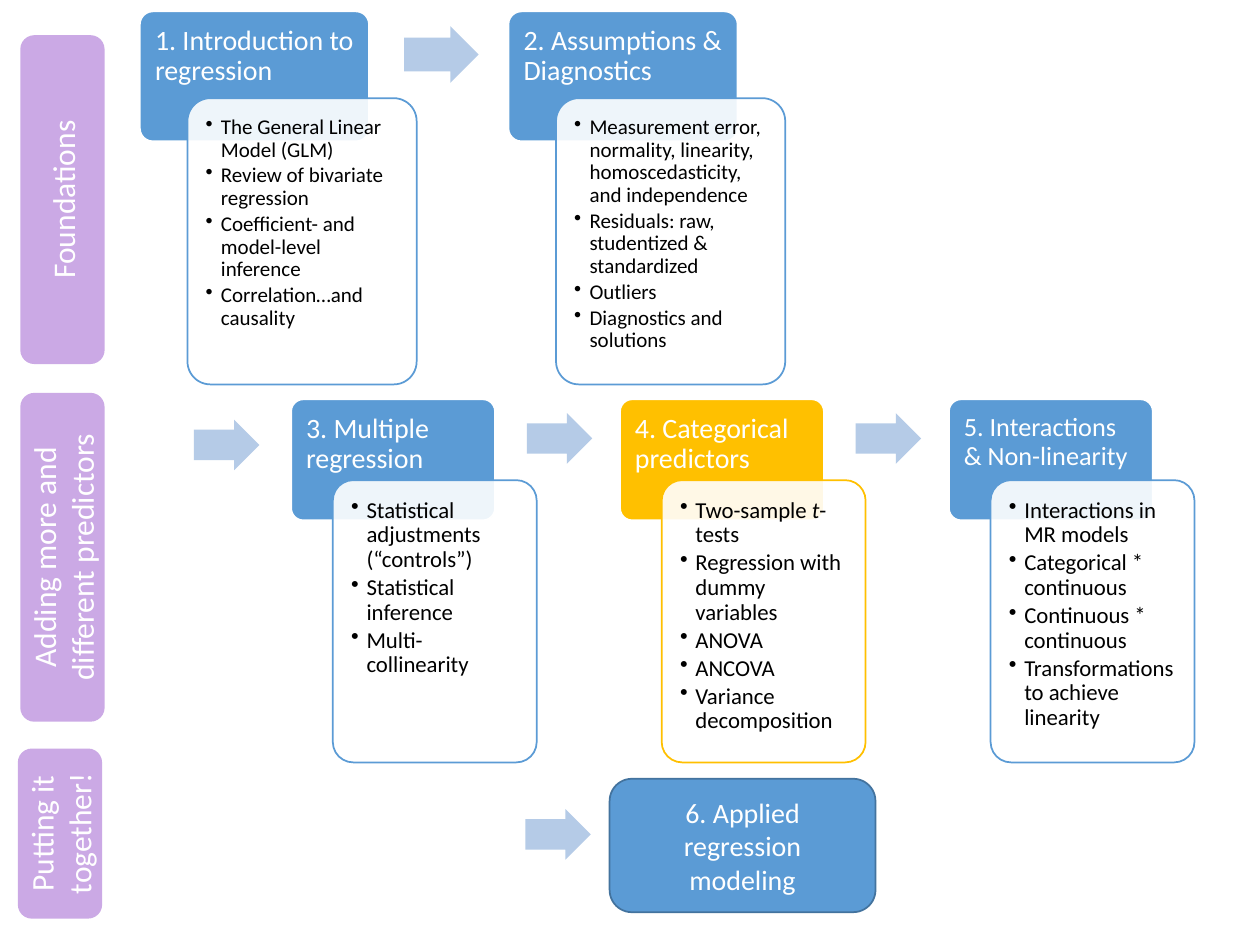
from dataclasses import dataclass

from lxml import etree
from pptx import Presentation
from pptx.dml.color import RGBColor
from pptx.enum import shapes, text
from pptx.oxml.ns import qn
from pptx.util import Cm, Pt


@dataclass(frozen=True)
class Theme:
    """Colours, font and type sizes of the slide."""
    blue: str = "5B9BD5"
    dark_blue: str = "43739E"
    gold: str = "FFC000"
    arrow: str = "B5CBE7"
    purple: str = "CBA9E5"
    white: str = "FFFFFF"
    black: str = "000000"
    font: str = "Calibri"
    stage_size: int = 18
    header_size: int = 16
    small_header_size: int = 15


@dataclass(frozen=True)
class Card:
    """A course unit; underscores in a topic enclose italics."""
    title: str
    topics: tuple[str, ...]
    color: str = Theme.blue
    title_size: int = Theme.header_size


@dataclass(frozen=True)
class Row:
    """A row of overlapping header and panel pairs, in cm."""
    left: float
    top: float
    pitch: float
    width: float
    header_h: float
    panel_dx: float
    panel_dy: float
    panel_h: float
    arrow_dx: float
    arrow_dy: float
    arrow_w: float
    arrow_h: float
    topic_size: int
    panel_inset: float
    cards: tuple[Card, ...]


@dataclass(frozen=True)
class Stage:
    """A vertical label at the left edge, in cm."""
    title: str
    left: float
    top: float
    height: float


T = Theme()
SHAPE = shapes.MSO_SHAPE

FOUNDATIONS = Row(
    2.82, 0.23, 7.43, 4.62, 2.62, 0.96, 1.75, 5.77, 5.33, 0.3, 1.5, 1.14, 12, 0.23,
    (
        Card("1. Introduction to regression", (
            "The General Linear Model (GLM)", "Review of bivariate regression",
            "Coefficient- and model-level inference", "Correlation…and causality")),
        Card("2. Assumptions & Diagnostics", (
            "Measurement error, normality, linearity, homoscedasticity, and independence",
            "Residuals: raw, studentized & standardized", "Outliers",
            "Diagnostics and solutions")),
    ))
PREDICTORS = Row(
    5.87, 8.05, 6.63, 4.11, 2.44, 0.84, 1.63, 5.69, 4.75, 0.28, 1.32, 1.02, 13, 0.25,
    (
        Card("3. Multiple regression", (
            "Statistical adjustments (“controls”)", "Statistical inference",
            "Multi-collinearity")),
        Card("4. Categorical predictors", (
            "Two-sample _t_-tests", "Regression with dummy variables", "ANOVA", "ANCOVA",
            "Variance decomposition"), T.gold),
        Card("5. Interactions & Non-linearity", (
            "Interactions in MR models", "Categorical * continuous",
            "Continuous * continuous", "Transformations to achieve linearity"),
            title_size=T.small_header_size),
    ))
STAGES = (
    Stage("Foundations", 0.41, 0.71, 6.63),
    Stage("Adding more and different predictors", 0.41, 7.92, 6.63),
    Stage("Putting it together!", 0.36, 15.09, 3.43),
)
ROW_ENTRY_ARROWS = ((3.91, 8.46), (10.59, 16.31))


def add_box(s, kind, left: float, top: float, width: float, height: float,
            fill: str, line: str | None = None, adj: tuple[float, ...] = ()):
    """Draw a flat preset shape, placed in cm."""
    sp = s.shapes.add_shape(kind, Cm(left), Cm(top), Cm(width), Cm(height))
    sp.shadow.inherit = False
    sp.fill.solid()
    sp.fill.fore_color.rgb = RGBColor.from_string(fill)
    if line:
        sp.line.color.rgb = RGBColor.from_string(line)
        sp.line.width = Pt(1)
    else:
        sp.line.fill.background()
    for i, value in enumerate(adj):
        sp.adjustments[i] = value
    return sp


def set_insets(tf, side: float, bottom: float) -> None:
    """Anchor text at the top with the given margins in cm."""
    tf.vertical_anchor = text.MSO_ANCHOR.TOP
    tf.margin_left = tf.margin_right = tf.margin_top = Cm(side)
    tf.margin_bottom = Cm(bottom)


def format_runs(p, size: int, color: str) -> None:
    """Apply font, size and colour to the runs of a paragraph."""
    for r in p.runs:
        r.font.name = T.font
        r.font.size = Pt(size)
        r.font.color.rgb = RGBColor.from_string(color)


def add_label(sp, label: str, size: int, align=text.PP_ALIGN.CENTER) -> None:
    """Write one white paragraph in a shape."""
    sp.text_frame.word_wrap = True
    p = sp.text_frame.paragraphs[0]
    p.text = label
    p.alignment = align
    format_runs(p, size, T.white)


def add_topics(tf, topics: tuple[str, ...], size: int) -> None:
    """Fill a text frame with a bulleted list."""
    tf.word_wrap = True
    for i, topic in enumerate(topics):
        p = tf.paragraphs[0] if i == 0 else tf.add_paragraph()
        for j, part in enumerate(topic.split("_")):
            r = p.add_run()
            r.text = part
            r.font.italic = j % 2 == 1
        p.alignment = text.PP_ALIGN.LEFT
        p.level = 1
        p.line_spacing = 0.9
        p.space_after = Pt(size * 0.15)
        format_runs(p, size, T.black)
        ppr = p._p.get_or_add_pPr()
        ppr.set("marL", str(Cm(0.31)))
        ppr.set("indent", str(Cm(-0.31)))
        etree.SubElement(ppr, qn("a:buChar")).set("char", "•")


def add_arrow(s, left: float, top: float, width: float, height: float) -> None:
    """Draw a pale block arrow pointing right."""
    add_box(s, SHAPE.RIGHT_ARROW, left, top, width, height, T.arrow, adj=(0.6, 0.5))


def add_card(s, row: Row, card: Card, left: float) -> None:
    """Draw a header and its translucent topic panel."""
    header = add_box(s, SHAPE.ROUNDED_RECTANGLE, left, row.top, row.width, row.header_h,
                     card.color, T.white, (0.1,))
    add_label(header, card.title, card.title_size, text.PP_ALIGN.LEFT)
    header.text_frame.paragraphs[0].line_spacing = 0.9
    set_insets(header.text_frame, 0.23, 0.1)

    panel = add_box(s, SHAPE.ROUNDED_RECTANGLE, left + row.panel_dx, row.top + row.panel_dy,
                    row.width, row.panel_h, T.white, card.color, (0.1,))
    clr = panel._element.spPr.find(qn("a:solidFill"))[0]
    etree.SubElement(clr, qn("a:alpha")).set("val", "90000")
    add_topics(panel.text_frame, card.topics, row.topic_size)
    set_insets(panel.text_frame, row.panel_inset, row.panel_inset)


def add_row(s, row: Row) -> None:
    """Draw the cards of a row with an arrow between neighbours."""
    for i, card in enumerate(row.cards):
        left = row.left + i * row.pitch
        add_card(s, row, card, left)
        if i < len(row.cards) - 1:
            add_arrow(s, left + row.arrow_dx, row.top + row.arrow_dy,
                      row.arrow_w, row.arrow_h)


def add_stage(s, stage: Stage) -> None:
    """Draw a stage label that reads upwards."""
    sp = add_box(s, SHAPE.ROUNDED_RECTANGLE, stage.left, stage.top, 1.7, stage.height, T.purple)
    add_label(sp, stage.title, T.stage_size)
    sp.text_frame._txBody.bodyPr.set("vert", "vert270")


prs = Presentation()
prs.slide_width, prs.slide_height = Cm(25.4), Cm(19.05)
s = prs.slides.add_slide(prs.slide_layouts[6])
for row in (FOUNDATIONS, PREDICTORS):
    add_row(s, row)
final_unit = add_box(s, SHAPE.ROUNDED_RECTANGLE, 12.29, 15.7, 5.36, 2.69, T.blue, T.dark_blue)
add_label(final_unit, "6. Applied regression modeling", T.header_size)
for left, top in ROW_ENTRY_ARROWS:
    add_arrow(s, left, top, PREDICTORS.arrow_w, PREDICTORS.arrow_h)
for stage in STAGES:
    add_stage(s, stage)
prs.save("out.pptx")
